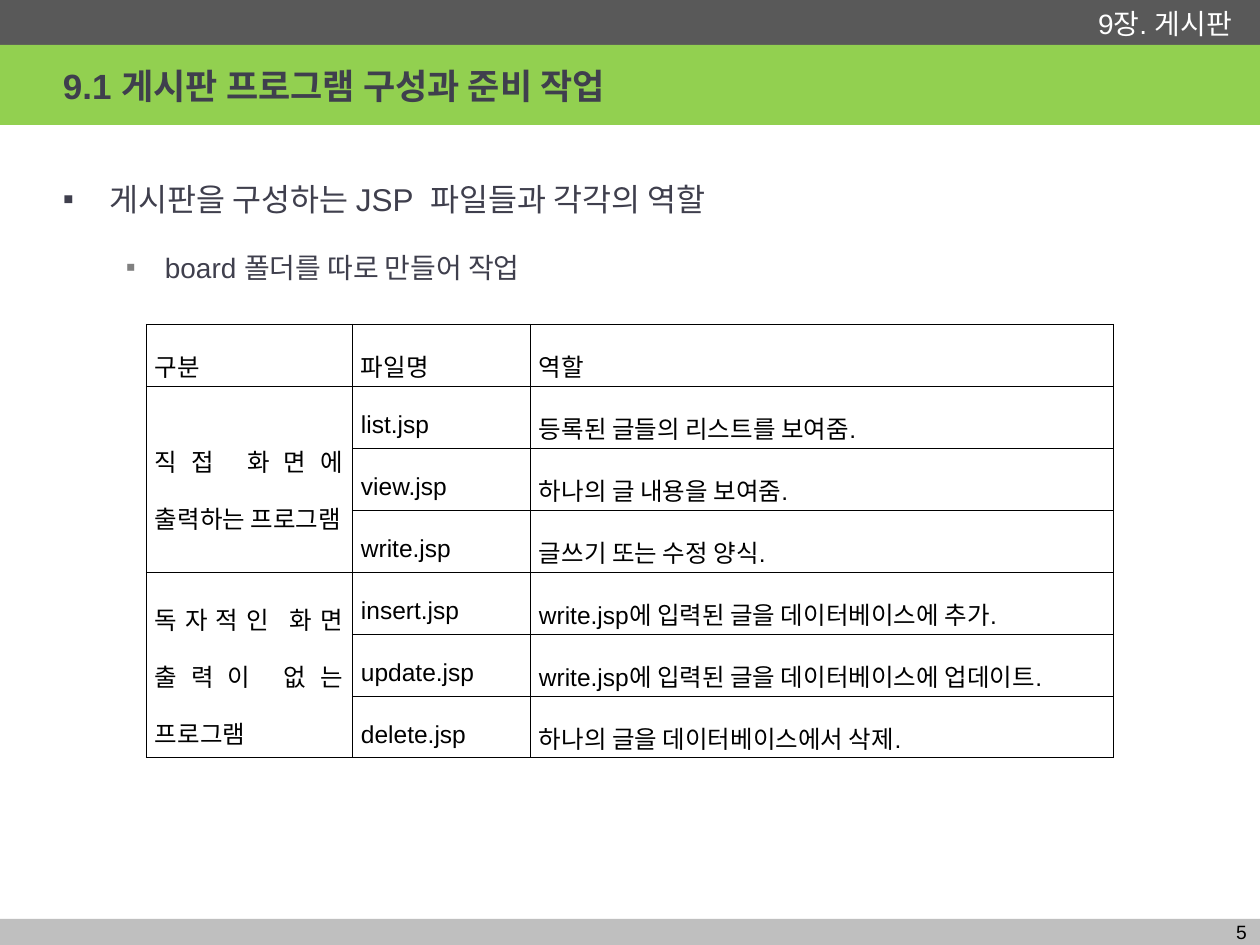
from lxml.etree import SubElement
from pptx import Presentation
from pptx.dml.color import RGBColor
from pptx.enum.shapes import MSO_SHAPE
from pptx.enum.text import MSO_ANCHOR, PP_ALIGN
from pptx.oxml.ns import qn
from pptx.util import Pt

PX = 914400 // 126
WIDE, HIGH = 1260, 945
FONT, INK, BLACK = "Arial", "3F3F4D", "000000"

BARS = [(0, 45, "595959"), (45, 80, "92D050"), (919, 26, "BFBFBF")]
CHAPTER = "9장. 게시판"
TITLE = "9.1 게시판 프로그램 구성과 준비 작업"
PAGE = "5"
# text, size, left margin, hanging indent, bullet colour
POINTS = [
    ("게시판을 구성하는 JSP  파일들과 각각의 역할", 18, 47, 47, INK),
    ("board 폴더를 따로 만들어 작업", 16, 102, 39, "808080"),
]
HEAD = ("구분", "파일명", "역할")
GROUPS = [
    ("직접 화면에 출력하는 프로그램", [
        ("list.jsp", "등록된 글들의 리스트를 보여줌."),
        ("view.jsp", "하나의 글 내용을 보여줌."),
        ("write.jsp", "글쓰기 또는 수정 양식."),
    ]),
    ("독자적인 화면 출력이 없는 프로그램", [
        ("insert.jsp", "write.jsp에 입력된 글을 데이터베이스에 추가."),
        ("update.jsp", "write.jsp에 입력된 글을 데이터베이스에 업데이트."),
        ("delete.jsp", "하나의 글을 데이터베이스에서 삭제."),
    ]),
]
COLS = (206, 178, 583)
LEFT, TOP, ROW = 146, 324, 62


def px(*sizes):
    """Turn pixels into a list of EMU lengths."""
    return [size * PX for size in sizes]


def color(code):
    """Turn a hex string into a colour."""
    return RGBColor.from_string(code)


def write(para, text, size=14, ink=BLACK, bold=False, align=None,
          line=None, before=None, after=None):
    """Put formatted text into a paragraph."""
    run = para.add_run()
    run.text = text
    font = run.font
    font.name, font.size, font.bold = FONT, Pt(size), bold
    font.color.rgb = color(ink)
    para.alignment, para.line_spacing = align, line
    if before is not None:
        para.space_before, para.space_after = Pt(before), Pt(after)


def add_bar(slide, top, high, fill):
    """Draw a plain bar across the slide."""
    bar = slide.shapes.add_shape(MSO_SHAPE.RECTANGLE, *px(0, top, WIDE, high))
    bar.shadow.inherit = False
    bar.fill.solid()
    bar.fill.fore_color.rgb = color(fill)
    bar.line.fill.background()


def add_box(slide, box, side=13, anchor=MSO_ANCHOR.TOP):
    """Add a wrapping text box and return its frame."""
    frame = slide.shapes.add_textbox(*px(*box)).text_frame
    frame.word_wrap = True
    frame.vertical_anchor = anchor
    frame.margin_left, frame.margin_right = px(side, side)
    frame.margin_top, frame.margin_bottom = px(6, 6)
    return frame


def add_bullet(para, left, hang, ink):
    """Give a paragraph a square bullet with a hanging indent."""
    props = para._p.get_or_add_pPr()
    props.set("marL", str(left * PX))
    props.set("indent", str(-hang * PX))
    tint = SubElement(props, qn("a:buClr"))
    SubElement(tint, qn("a:srgbClr"), val=ink)
    SubElement(props, qn("a:buFont"), typeface=FONT)
    SubElement(props, qn("a:buChar"), char="▪")


def style_cell(cell):
    """Set thin black borders, no fill, margins and anchor."""
    props = cell._tc.get_or_add_tcPr()
    for side in "LRTB":
        edge = SubElement(props, qn("a:ln" + side), w=str(Pt(0.28)))
        fill = SubElement(edge, qn("a:solidFill"))
        SubElement(fill, qn("a:srgbClr"), val=BLACK)
    cell.fill.background()
    cell.margin_left, cell.margin_right = px(9, 9)
    cell.margin_top, cell.margin_bottom = px(3, 3)
    cell.vertical_anchor = MSO_ANCHOR.MIDDLE


def add_grid(slide):
    """Build the table of files, one merged cell per group."""
    rows = [HEAD]
    spans = []
    for group, files in GROUPS:
        first = len(rows)
        for num, pair in enumerate(files):
            rows.append(("" if num else group, *pair))
        spans.append((first, len(rows) - 1))
    box = px(LEFT, TOP, sum(COLS), ROW * len(rows))
    table = slide.shapes.add_table(len(rows), len(COLS), *box).table
    table.first_row = table.horz_banding = False
    for col, wide in zip(table.columns, COLS):
        col.width = wide * PX
    for r, texts in enumerate(rows):
        table.rows[r].height = ROW * PX
        for c, text in enumerate(texts):
            cell = table.cell(r, c)
            style_cell(cell)
            if text:
                write(cell.text_frame.paragraphs[0], text,
                      align=PP_ALIGN.JUSTIFY, line=1.6)
    for first, last in spans:
        table.cell(first, 0).merge(table.cell(last, 0))


def main():
    """Build and save the slide."""
    deck = Presentation()
    deck.slide_width, deck.slide_height = px(WIDE, HIGH)
    slide = deck.slides.add_slide(deck.slide_layouts[6])
    for bar in BARS:
        add_bar(slide, *bar)
    frame = add_box(slide, (111, 1, 1134, 58))
    write(frame.paragraphs[0], CHAPTER, size=16, ink="FFFFFF",
          align=PP_ALIGN.RIGHT)
    frame = add_box(slide, (63, 51, 1134, 69), 0, MSO_ANCHOR.MIDDLE)
    write(frame.paragraphs[0], TITLE, size=20, ink=INK, bold=True)
    frame = add_box(slide, (63, 155, 1134, 745), 0)
    for num, (text, size, left, hang, tint) in enumerate(POINTS):
        para = frame.add_paragraph() if num else frame.paragraphs[0]
        write(para, text, size=size, ink=INK, line=1.5,
              before=size * 0.2, after=6)
        add_bullet(para, left, hang, tint)
    frame = add_box(slide, (1207, 919, 53, 26), anchor=MSO_ANCHOR.MIDDLE)
    write(frame.paragraphs[0], PAGE, size=11, align=PP_ALIGN.RIGHT)
    add_grid(slide)
    deck.save("out.pptx")


main()
